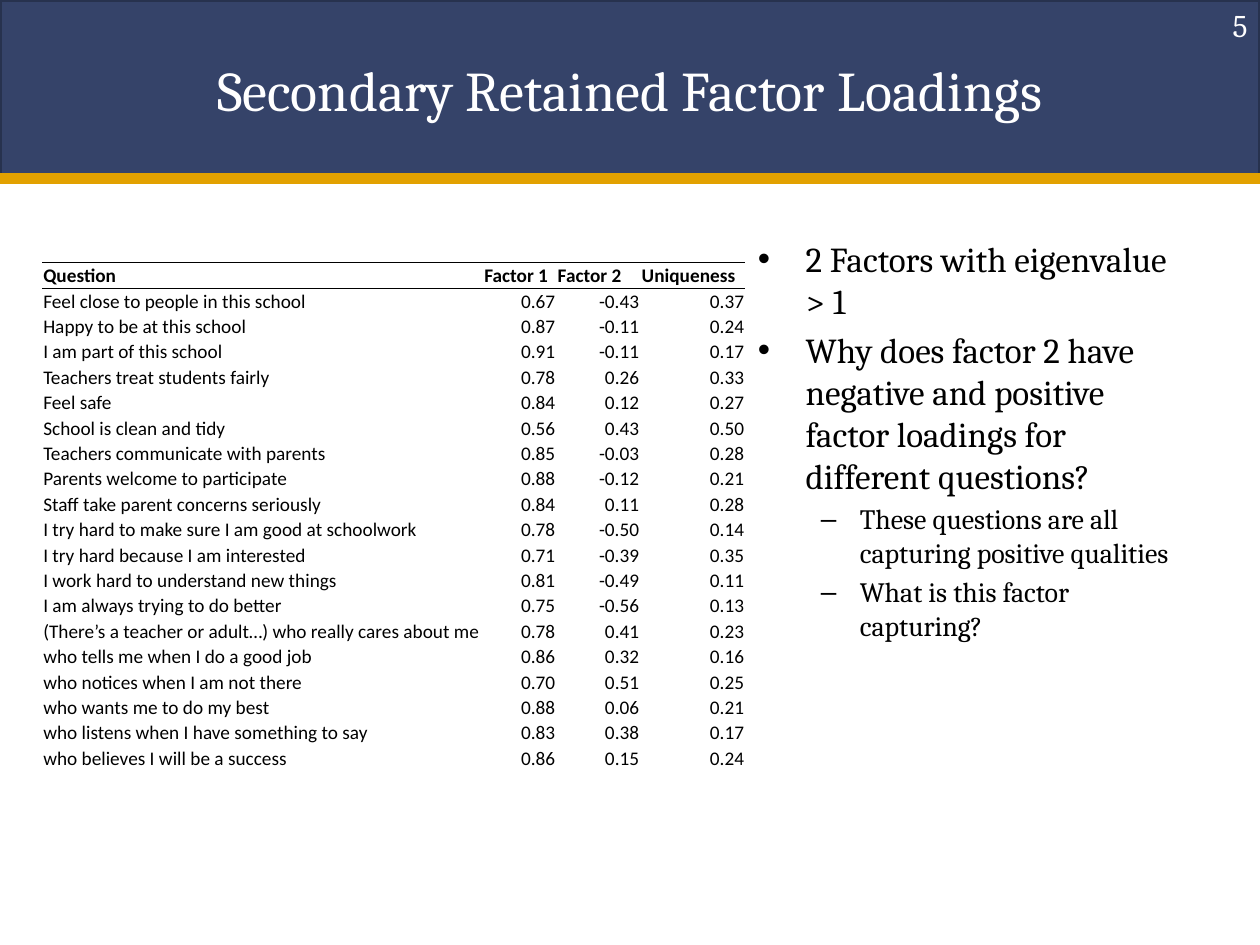
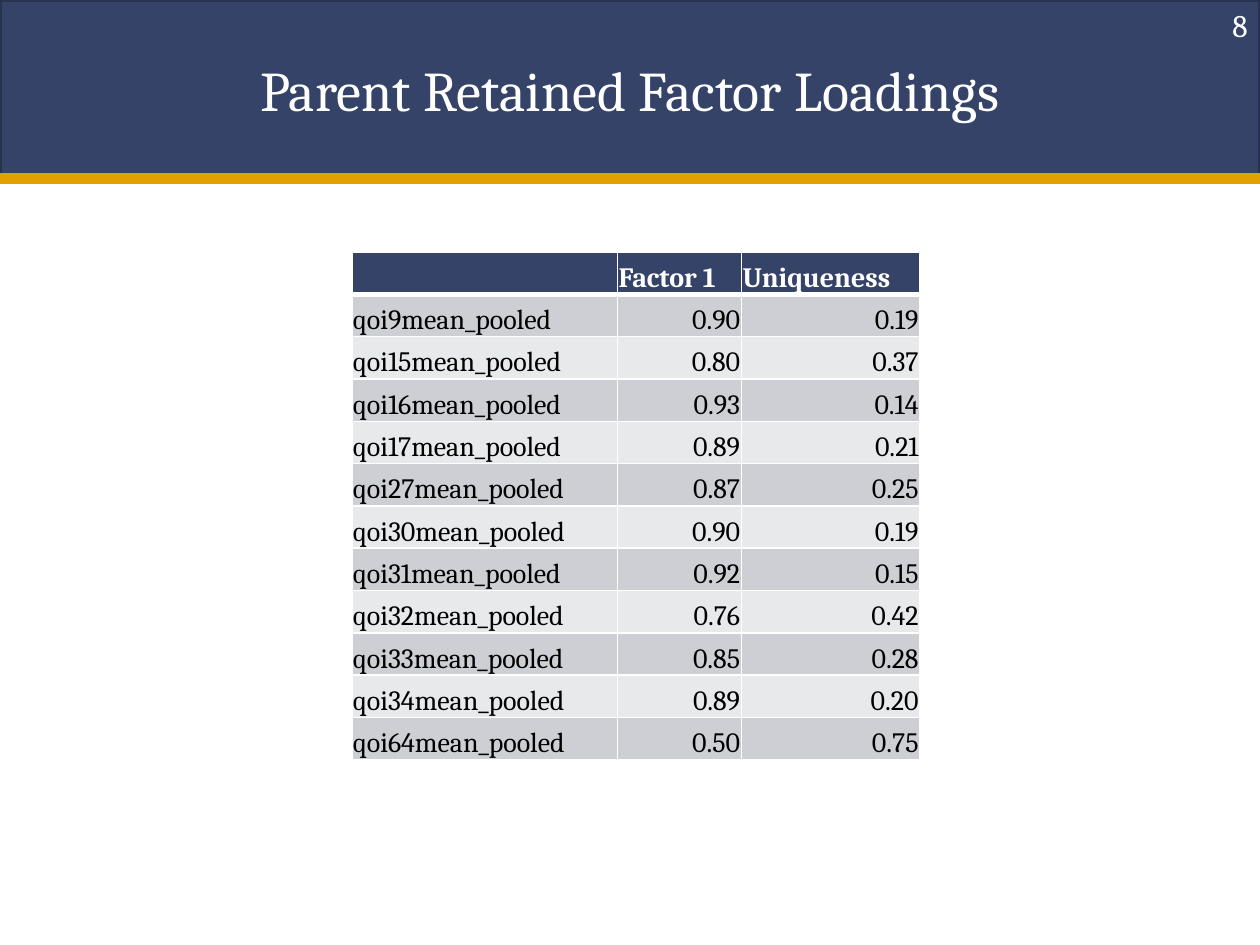
from dataclasses import dataclass
from lxml import etree
from pptx import Presentation
from pptx.dml.color import RGBColor
from pptx.enum.shapes import MSO_CONNECTOR, MSO_SHAPE
from pptx.enum.text import MSO_ANCHOR, PP_ALIGN
from pptx.oxml.ns import qn
from pptx.util import Emu, Inches, Pt

LEFT, MID, RIGHT = PP_ALIGN.LEFT, PP_ALIGN.CENTER, PP_ALIGN.RIGHT
TOP, CENTER, BASE = MSO_ANCHOR.TOP, MSO_ANCHOR.MIDDLE, MSO_ANCHOR.BOTTOM
RECT, STRAIGHT = MSO_SHAPE.RECTANGLE, MSO_CONNECTOR.STRAIGHT

HUES = {"navy": "354369", "edge": "27324E", "gold": "E2A100", "white": "FFFFFF",
        "black": "000000", "dark": "CECFD4", "light": "E8E9EB"}
SERIF, SANS = "Cambria", "Calibri"

deck = Presentation()
deck.slide_width, deck.slide_height = Inches(10), Inches(7.5)

# The grid has 120 columns and 90 rows of square units
UNIT = deck.slide_width / 120


def grid(count: float) -> Emu:
    return Emu(round(count * UNIT))


def hue(name: str) -> RGBColor:
    return RGBColor.from_string(HUES[name])


@dataclass
class Box:
    col: float
    row: float
    cols: float
    rows: float

    def place(self) -> tuple:
        return tuple(grid(n) for n in (self.col, self.row, self.cols, self.rows))


@dataclass
class Style:
    size: float
    tint: str
    face: str = SERIF
    bold: bool = False
    align: PP_ALIGN = LEFT


@dataclass
class Point:
    text: str
    level: int = 0


@dataclass
class Rule:
    tint: str
    width: float


@dataclass
class Look:
    """How the rows of one kind in a table are drawn."""
    style: Style
    fills: tuple = ()
    above: Rule | None = None
    below: Rule | None = None
    side: Rule | None = None


@dataclass
class Chart:
    col: float
    row: float
    widths: tuple
    height: float
    head: Look
    body: Look
    rows: list


BAND = Box(0, 0, 120, 17)
TITLE = Box(6, 1, 108, 15)
NUMBER = Box(92, 0, 28, 4.8)
NOTES = Box(71, 22, 43, 58.4)


# Text
def paint(para, style: Style) -> None:
    font = para.font
    font.size, font.name, font.bold = Pt(style.size), style.face, style.bold
    font.color.rgb = hue(style.tint)
    para.alignment = style.align


def frame(slide, box: Box, anchor: MSO_ANCHOR):
    body = slide.shapes.add_textbox(*box.place()).text_frame
    body.word_wrap, body.vertical_anchor = True, anchor
    return body


def label(slide, box: Box, text: str, style: Style) -> None:
    para = frame(slide, box, CENTER).paragraphs[0]
    para.text = text
    paint(para, style)


def bullets(slide, box: Box, points: list[Point]) -> None:
    body = frame(slide, box, TOP)
    for i, point in enumerate(points):
        para = body.add_paragraph() if i else body.paragraphs[0]
        para.text, para.level = point.text, point.level
        size, mark, margin, hang = [(20, "•", 0.38, 0.38), (16, "–", 0.81, 0.31)][point.level]
        para.space_before = Pt(size * 0.2)
        props = para._p.get_or_add_pPr()
        props.set("marL", str(Inches(margin)))
        props.set("indent", str(-Inches(hang)))
        etree.SubElement(props, qn("a:buFont")).set("typeface", "Arial")
        etree.SubElement(props, qn("a:buChar")).set("char", mark)
        paint(para, Style(size, "black"))


# Tables
def border(cell, tag: str, rule: Rule | None) -> None:
    line = etree.SubElement(cell._tc.get_or_add_tcPr(), qn(tag))
    if rule is None:
        line.set("w", "0")
        etree.SubElement(line, qn("a:noFill"))
        return
    line.set("w", str(Pt(rule.width)))
    fill = etree.SubElement(line, qn("a:solidFill"))
    etree.SubElement(fill, qn("a:srgbClr")).set("val", HUES[rule.tint])


def fill_cell(cell, text: str, look: Look, row: int, above: Rule | None) -> None:
    cell.margin_left = cell.margin_right = cell.margin_top = Inches(0.01)
    cell.margin_bottom = 0
    cell.vertical_anchor = BASE
    para = cell.text_frame.paragraphs[0]
    para.text = text
    paint(para, look.style)
    if row and text[-3:-2] == ".":
        para.alignment = RIGHT
    for tag, rule in (("a:lnL", look.side), ("a:lnR", look.side),
                      ("a:lnT", above), ("a:lnB", look.below)):
        border(cell, tag, rule)
    if look.fills:
        cell.fill.solid()
        cell.fill.fore_color.rgb = hue(look.fills[row % len(look.fills)])
    else:
        cell.fill.background()


def draw_table(slide, chart: Chart) -> None:
    count = len(chart.rows)
    box = Box(chart.col, chart.row, sum(chart.widths), count * chart.height)
    table = slide.shapes.add_table(count, len(chart.widths), *box.place()).table
    table.first_row = table.horz_banding = False
    for col, width in zip(table.columns, chart.widths):
        col.width = grid(width)
    for i, texts in enumerate(chart.rows):
        table.rows[i].height = grid(chart.height)
        look = chart.body if i else chart.head
        above = chart.head.below if i == 1 else look.above
        for j, text in enumerate(texts):
            fill_cell(table.cell(i, j), text, look, i, above)


# Shared band, title and number
def start(title: str, number: int):
    slide = deck.slides.add_slide(deck.slide_layouts[6])
    band = slide.shapes.add_shape(RECT, *BAND.place())
    band.shadow.inherit = False
    band.fill.solid()
    band.fill.fore_color.rgb = hue("navy")
    band.line.color.rgb, band.line.width = hue("edge"), Pt(2)
    line = slide.shapes.add_connector(STRAIGHT, grid(-0.25), grid(17), grid(120.3), grid(17))
    line.line.color.rgb, line.line.width = hue("gold"), Pt(6)
    etree.SubElement(line._element.spPr, qn("a:effectLst"))
    label(slide, TITLE, title, Style(32, "white", align=MID))
    label(slide, NUMBER, str(number), Style(18, "white", align=RIGHT))
    return slide


# Secondary factors
THIN = Rule("black", 0.5)
SECOND = Chart(
    4, 25, (42, 7, 8, 10), 2.42,
    Look(Style(11, "black", SANS, True), above=THIN, below=THIN),
    Look(Style(11, "black", SANS)),
    [
        ("Question", "Factor 1", "Factor 2", "Uniqueness"),
        ("Feel close to people in this school", "0.67", "-0.43", "0.37"),
        ("Happy to be at this school", "0.87", "-0.11", "0.24"),
        ("I am part of this school", "0.91", "-0.11", "0.17"),
        ("Teachers treat students fairly", "0.78", "0.26", "0.33"),
        ("Feel safe", "0.84", "0.12", "0.27"),
        ("School is clean and tidy", "0.56", "0.43", "0.50"),
        ("Teachers communicate with parents", "0.85", "-0.03", "0.28"),
        ("Parents welcome to participate", "0.88", "-0.12", "0.21"),
        ("Staff take parent concerns seriously", "0.84", "0.11", "0.28"),
        ("I try hard to make sure I am good at schoolwork", "0.78", "-0.50", "0.14"),
        ("I try hard because I am interested", "0.71", "-0.39", "0.35"),
        ("I work hard to understand new things", "0.81", "-0.49", "0.11"),
        ("I am always trying to do better", "0.75", "-0.56", "0.13"),
        ("(There’s a teacher or adult…) who really cares about me", "0.78", "0.41", "0.23"),
        ("who tells me when I do a good job", "0.86", "0.32", "0.16"),
        ("who notices when I am not there", "0.70", "0.51", "0.25"),
        ("who wants me to do my best", "0.88", "0.06", "0.21"),
        ("who listens when I have something to say", "0.83", "0.38", "0.17"),
        ("who believes I will be a success", "0.86", "0.15", "0.24"),
    ])
slide = start("Secondary Retained Factor Loadings", 5)
bullets(slide, NOTES, [
    Point("2 Factors with eigenvalue > 1"),
    Point("Why does factor 2 have negative and positive factor loadings for different questions?"),
    Point("These questions are all capturing positive qualities", 1),
    Point("What is this factor capturing?", 1),
])
draw_table(slide, SECOND)

# Parent factors
PALE, THICK = Rule("white", 1), Rule("white", 3)
LOADS = [(9, "0.90", "0.19"), (15, "0.80", "0.37"), (16, "0.93", "0.14"),
         (17, "0.89", "0.21"), (27, "0.87", "0.25"), (30, "0.90", "0.19"),
         (31, "0.92", "0.15"), (32, "0.76", "0.42"), (33, "0.85", "0.28"),
         (34, "0.89", "0.20"), (64, "0.50", "0.75")]
PARENT = Chart(
    33.5, 24, (25.3, 11.8, 17), 4.03,
    Look(Style(16, "white", bold=True), ("navy",), PALE, THICK, PALE),
    Look(Style(16, "black"), ("light", "dark"), PALE, PALE, PALE),
    [("", "Factor 1", "Uniqueness")]
    + [(f"qoi{item}mean_pooled", load, rest) for item, load, rest in LOADS])
draw_table(start("Parent Retained Factor Loadings", 8), PARENT)

deck.save("out.pptx")
